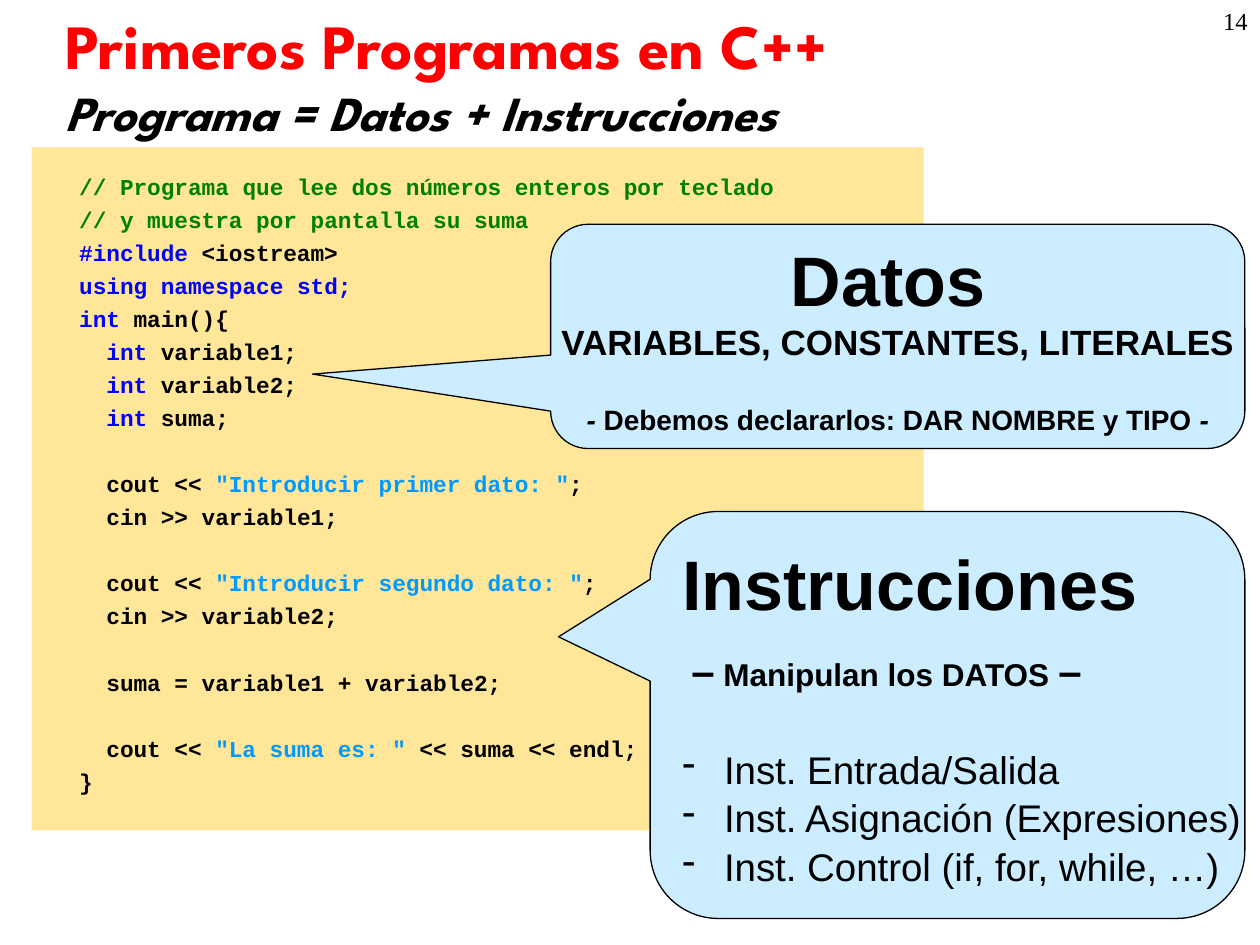
from typing import NamedTuple

from lxml.etree import SubElement
from pptx import Presentation
from pptx.dml.color import RGBColor
from pptx.enum.shapes import MSO_SHAPE
from pptx.enum.text import MSO_ANCHOR, MSO_AUTO_SIZE, PP_ALIGN
from pptx.oxml.ns import qn
from pptx.util import Inches, Pt

HUES = {
    "text": "000000", "title": "FF0000", "note": "008000", "key": "0000FF",
    "quote": "0099FF", "code": "FFE699", "call": "CCECFF",
}


class Run(NamedTuple):
    text: str
    hue: str = "text"
    size: float | None = None
    slant: bool | None = None


class Line(NamedTuple):
    """One paragraph; gap is the space before it in points."""
    runs: list[Run]
    size: float
    gap: float = 0
    face: str = "Arial"
    bold: bool = True
    slant: bool = False
    align: PP_ALIGN = PP_ALIGN.LEFT
    left: float = 0
    dash: bool = False
    pitch: float | None = None


class Call(NamedTuple):
    box: tuple[float, float, float, float]
    tail: tuple[float, float]
    lines: list[Line]


def color(name: str) -> RGBColor:
    return RGBColor.from_string(HUES[name])


def write(frame, lines: list[Line]) -> None:
    for i, line in enumerate(lines):
        para = frame.paragraphs[0] if i == 0 else frame.add_paragraph()
        para.alignment = line.align
        para.space_before = Pt(line.gap)
        if line.pitch:
            para.line_spacing = Pt(line.pitch)
        props = para._p.get_or_add_pPr()
        props.set("marL", str(Inches(line.left)))
        props.set("indent", str(-Inches(line.left) if line.dash else 0))
        if line.dash:
            SubElement(props, qn("a:buChar"), char="-")
        font = para.font
        font.name, font.size = line.face, Pt(line.size)
        font.bold, font.italic = line.bold, line.slant
        font.color.rgb = color(line.runs[0].hue)
        for part in line.runs:
            run = para.add_run()
            run.text = part.text
            run.font.color.rgb = color(part.hue)
            if part.size:
                run.font.size = Pt(part.size)
            if part.slant is not None:
                run.font.italic = part.slant


def place(shape, box: tuple[float, float, float, float]) -> None:
    shape.left, shape.top, shape.width, shape.height = map(Inches, box)


def draw_call(slide, call: Call) -> None:
    shape = slide.shapes.add_shape(
        MSO_SHAPE.ROUNDED_RECTANGULAR_CALLOUT, *map(Inches, call.box))
    shape.shadow.inherit = False
    for i, value in enumerate((*call.tail, 0.167)):
        shape.adjustments[i] = value
    shape.fill.solid()
    shape.fill.fore_color.rgb = color("call")
    shape.line.color.rgb = color("text")
    shape.line.width = Pt(0.75)
    frame = shape.text_frame
    frame.word_wrap = False
    frame.vertical_anchor = MSO_ANCHOR.MIDDLE
    write(frame, call.lines)


def draw_code(slide) -> None:
    shape = slide.shapes.add_shape(
        MSO_SHAPE.RECTANGLE, *map(Inches, (0.25, 1.17, 7.08, 5.42)))
    shape.shadow.inherit = False
    shape.fill.solid()
    shape.fill.fore_color.rgb = color("code")
    shape.line.fill.background()
    frame = shape.text_frame
    frame.word_wrap = True
    frame.vertical_anchor = MSO_ANCHOR.TOP
    frame.margin_top = frame.margin_bottom = Inches(0.2)
    lines, gap = [], 0
    for runs in CODE:
        if runs:
            lines.append(Line(runs, 13, gap, "Courier New", left=0.28, pitch=PITCH))
            gap = SPACE
        else:
            gap += PITCH + SPACE
    write(frame, lines)


PITCH, SPACE = 15.6, 3.3

# An empty list is an empty line of code, drawn as space before the next one.
CODE = [
    [Run("// Programa que lee dos números enteros por teclado", "note")],
    [Run("// y muestra por pantalla su suma", "note")],
    [Run("#include", "key"), Run(" <iostream>")],
    [Run("using namespace std;", "key")],
    [Run("int", "key"), Run(" main(){")],
    *[[Run("  int", "key"), Run(f" {name};")]
      for name in ("variable1", "variable2", "suma")],
    [],
    [Run("  cout << "), Run('"Introducir primer dato: "', "quote"), Run(";")],
    [Run("  cin >> variable1;")],
    [],
    [Run("  cout << "), Run('"Introducir segundo dato: "', "quote"), Run(";")],
    [Run("  cin >> variable2;")],
    [],
    [Run("  suma = variable1 + variable2;")],
    [],
    [Run("  cout << "), Run('"La suma es: "', "quote"), Run(" << suma << endl;")],
    [Run("}")],
]

KINDS = ["Inst. Entrada/Salida", "Inst. Asignación (Expresiones)",
         "Inst. Control (if, for, while, …)"]

CALLS = [
    Call((4.37, 1.78, 5.51, 1.78), (-0.843, 0.168), [
        Line([Run("Datos ")], 40, align=PP_ALIGN.CENTER),
        Line([Run("VARIABLES, CONSTANTES, LITERALES")], 20,
             align=PP_ALIGN.CENTER),
        Line([Run("- ", slant=True),
              Run("Debemos declararlos: DAR NOMBRE y TIPO "),
              Run("-", slant=True)], 16, 23, align=PP_ALIGN.CENTER),
    ]),
    Call((5.16, 4.06, 4.72, 3.23), (-0.654, -0.192), [
        Line([Run("Instrucciones")], 40),
        Line([Run("–", size=24), Run(" Manipulan los DATOS "),
              Run("–", size=24)], 18, 11.5, left=0.07),
        *[Line([Run(kind)], 22, 29 if i == 0 else 1.5, bold=False,
               left=0.33, dash=True) for i, kind in enumerate(KINDS)],
    ]),
]


def main() -> None:
    deck = Presentation()
    deck.slide_width, deck.slide_height = Inches(10), Inches(7.5)
    slide = deck.slides.add_slide(deck.slide_layouts[5])

    title = slide.shapes.title
    place(title, (0.42, 0, 8.5, 1.17))
    frame = title.text_frame
    frame.auto_size = MSO_AUTO_SIZE.NONE
    frame.vertical_anchor = MSO_ANCHOR.MIDDLE
    write(frame, [
        Line([Run("Primeros Programas en C++", "title")], 36,
             face="League Spartan"),
        Line([Run("Programa = Datos + Instrucciones")], 28,
             face="League Spartan", slant=True),
    ])

    number = slide.shapes.add_textbox(*map(Inches, (9.5, 0, 0.5, 0.5)))
    number.text_frame.word_wrap = True
    write(number.text_frame, [Line([Run("14")], 14, face="Times New Roman",
                                   bold=False, align=PP_ALIGN.RIGHT)])

    draw_code(slide)
    for call in CALLS:
        draw_call(slide, call)
    deck.save("out.pptx")


if __name__ == "__main__":
    main()
